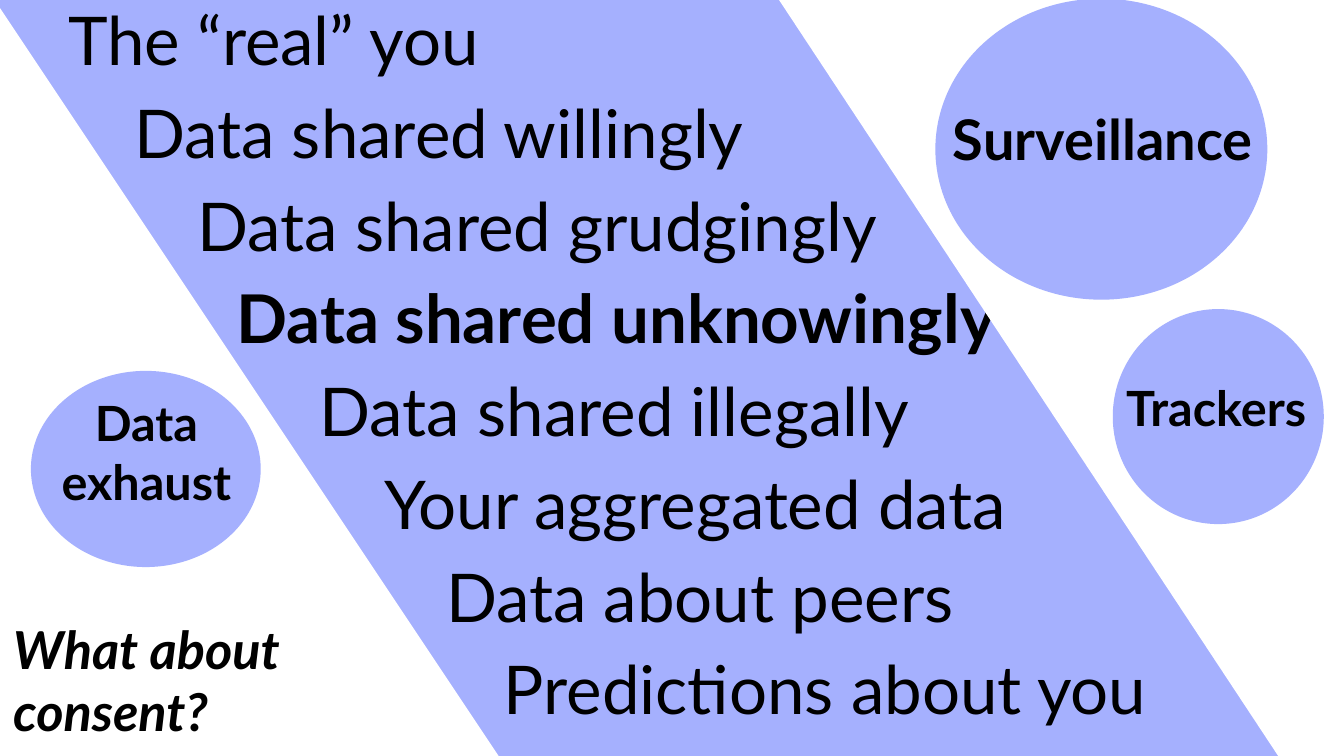
from typing import NamedTuple

from pptx import Presentation
from pptx.dml.color import RGBColor
from pptx.enum.shapes import MSO_SHAPE as Preset
from pptx.enum.text import MSO_ANCHOR as Anchor, PP_ALIGN as Align
from pptx.util import Inches, Pt

PERIWINKLE = RGBColor(0xA5, 0xB0, 0xFE)
WHITE = RGBColor(0xFF, 0xFF, 0xFF)
BLACK = RGBColor(0x00, 0x00, 0x00)

CELL = Inches(0.1)
COLUMNS, ROWS = 100, 56.25
STAIR_TOP, STAIR_PITCH, STAIR_HEIGHT = -1.1, 6.9, 8


class Area(NamedTuple):
    column: float
    row: float
    columns: float
    rows: float

    def lengths(self) -> list[int]:
        return [round(cells * CELL) for cells in self]


class Style(NamedTuple):
    size: int
    bold: bool = False
    italic: bool = False
    align: Align = Align.LEFT
    anchor: Anchor = Anchor.TOP


class Step(NamedTuple):
    words: str
    column: float
    bold: bool = False


class Bubble(NamedTuple):
    words: str
    size: int
    circle: Area
    label: Area


STEPS = [
    Step("The “real” you", 4.1),
    Step("Data shared willingly", 9),
    Step("Data shared grudgingly", 13.7),
    Step("Data shared unknowingly", 16.6, bold=True),
    Step("Data shared illegally", 22.8),
    Step("Your aggregated data", 27.6),
    Step("Data about peers", 32.2),
    Step("Predictions about you", 36.5),
]

BUBBLES = [
    Bubble("Surveillance", 30, Area(69.6, -0.1, 24.7, 22.4), Area(68.6, 4.9, 26.9, 10.8)),
    Bubble("Trackers", 26, Area(82.8, 23, 15.7, 16), Area(80.3, 24.4, 20.4, 11.8)),
    Bubble("Data exhaust", 26, Area(2.3, 27.6, 17.1, 14.6), Area(0.7, 27.7, 20.4, 11.8)),
]


def draw_shape(slide, preset: Preset, area: Area, colour: RGBColor, rotation: float = 0) -> None:
    shape = slide.shapes.add_shape(preset, *area.lengths())
    shape.shadow.inherit = False
    shape.fill.solid()
    shape.fill.fore_color.rgb = colour
    shape.line.fill.background()
    shape.rotation = rotation


def write(slide, words: str, area: Area, style: Style) -> None:
    frame = slide.shapes.add_textbox(*area.lengths()).text_frame
    frame.word_wrap = True
    frame.vertical_anchor = style.anchor
    frame.margin_left = frame.margin_right = CELL
    frame.margin_top = frame.margin_bottom = CELL
    paragraph = frame.paragraphs[0]
    paragraph.text = words
    paragraph.alignment = style.align
    font = paragraph.font
    font.name = "Lato"
    font.size = Pt(style.size)
    font.bold = style.bold
    font.italic = style.italic
    font.color.rgb = BLACK


def draw_stair(slide) -> None:
    for index, step in enumerate(STEPS):
        row = STAIR_TOP + index * STAIR_PITCH
        area = Area(step.column, row, COLUMNS - step.column, STAIR_HEIGHT)
        write(slide, step.words, area, Style(36, step.bold))


def draw_bubble(slide, bubble: Bubble) -> None:
    draw_shape(slide, Preset.OVAL, bubble.circle, PERIWINKLE)
    style = Style(bubble.size, bold=True, align=Align.CENTER, anchor=Anchor.MIDDLE)
    write(slide, bubble.words, bubble.label, style)


def main() -> None:
    deck = Presentation()
    deck.slide_width = round(COLUMNS * CELL)
    deck.slide_height = round(ROWS * CELL)
    slide = deck.slides.add_slide(deck.slide_layouts[6])
    slide.background.fill.solid()
    slide.background.fill.fore_color.rgb = PERIWINKLE

    draw_shape(slide, Preset.RIGHT_TRIANGLE, Area(-0.4, 0, 37.5, ROWS), WHITE)
    draw_stair(slide)
    draw_shape(slide, Preset.RIGHT_TRIANGLE, Area(57.9, -0.1, 37.5, 56.8), WHITE, rotation=180)
    draw_shape(slide, Preset.RECTANGLE, Area(95.4, 0, 4.6, ROWS), WHITE)
    for bubble in BUBBLES:
        draw_bubble(slide, bubble)
    write(slide, "What about consent?", Area(0, 44.9, 22.8, 11.8), Style(28, bold=True, italic=True))

    deck.save("out.pptx")


if __name__ == "__main__":
    main()
